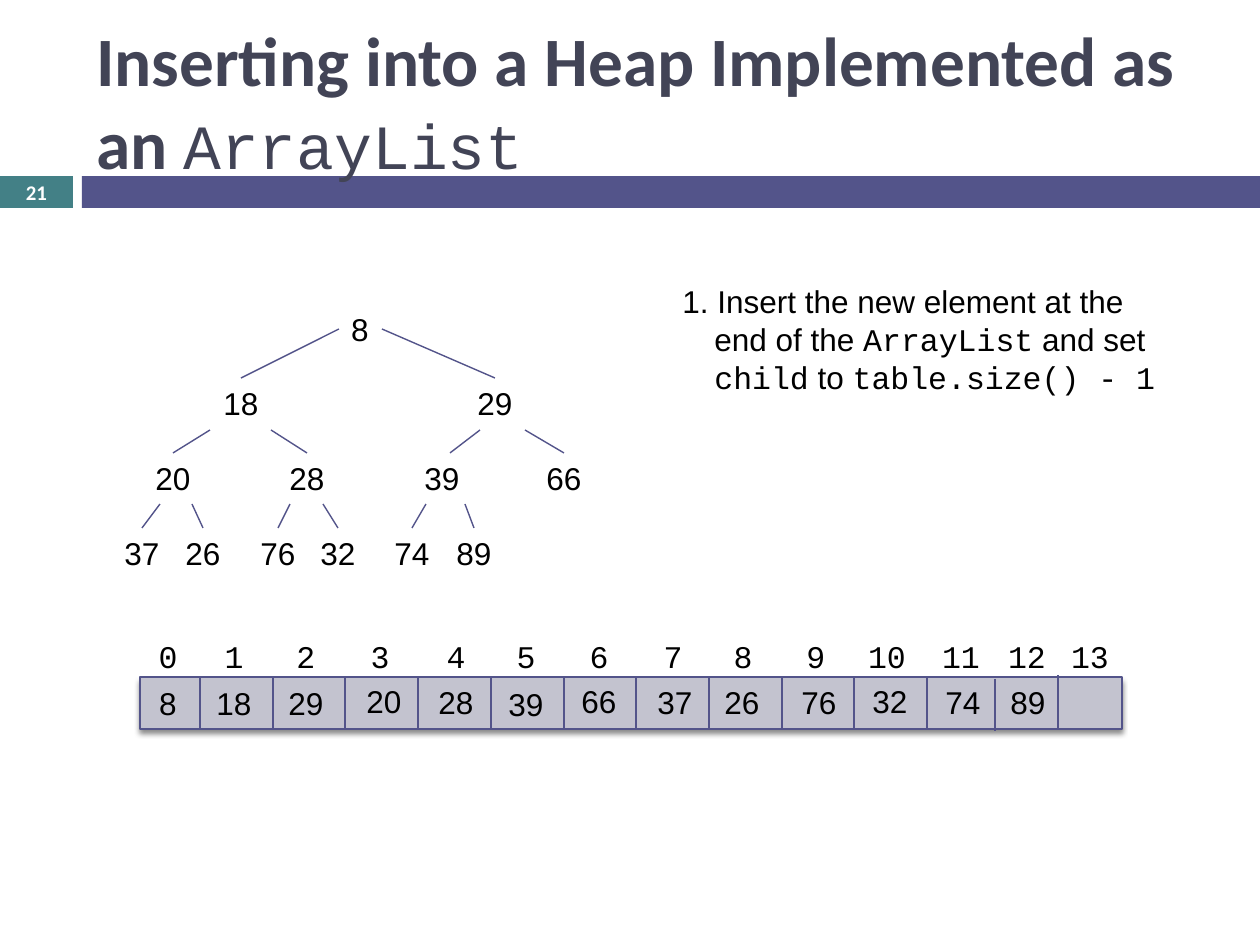
from pptx import Presentation
from pptx.dml.color import RGBColor
from pptx.enum.shapes import MSO_CONNECTOR as CONNECTOR, MSO_SHAPE as SHAPE
from pptx.enum.text import MSO_ANCHOR as ANCHOR, PP_ALIGN as ALIGN
from pptx.oxml import parse_xml
from pptx.oxml.ns import nsdecls
from pptx.util import Pt

PX = 914400 / 126
COLORS = {"ink": "000000", "title": "424456", "indigo": "53548A",
          "teal": "438086", "cell": "C3C3CF", "white": "FFFFFF"}
SANS, MONO, HEADING = "Arial", "Courier New", "Calibri"

deck = Presentation()
deck.slide_width, deck.slide_height = round(1260 * PX), round(945 * PX)
slide = deck.slides.add_slide(deck.slide_layouts[6])


def add_text(text, left, top, width, height, font=SANS, size=18, color="ink",
             bold=False, align=ALIGN.CENTER, anchor=ANCHOR.TOP, wrap=False, hang=0):
    box = slide.shapes.add_textbox(*(round(v * PX) for v in (left, top, width, height)))
    frame = box.text_frame
    frame.word_wrap, frame.vertical_anchor = wrap, anchor
    paragraph = frame.paragraphs[0]
    paragraph.alignment = align
    if hang:
        properties = paragraph._p.get_or_add_pPr()
        properties.set("marL", str(round(hang * PX)))
        properties.set("indent", str(round(-hang * PX)))
    pieces = [(text, font, size, bold)] if isinstance(text, str) else text
    for words, face, points, heavy in pieces:
        run = paragraph.add_run()
        run.text = words
        run.font.name, run.font.size, run.font.bold = face, Pt(points), heavy
        run.font.color.rgb = RGBColor.from_string(COLORS[color])


def add_line(x1, y1, x2, y2):
    line = slide.shapes.add_connector(
        CONNECTOR.STRAIGHT, *(round(v * PX) for v in (x1, y1, x2, y2)))
    line.line.color.rgb = RGBColor.from_string(COLORS["indigo"])
    line.line.width = Pt(0.79)
    line._element.spPr.append(parse_xml(f"<a:effectLst {nsdecls('a')}/>"))


for left, top, width, height, fill in [
    (0, 176, 73, 32, "teal"),
    (82, 176, 1178, 32, "indigo"),
    (140, 677, 982, 52, "cell"),
]:
    bar = slide.shapes.add_shape(
        SHAPE.RECTANGLE, *(round(v * PX) for v in (left, top, width, height)))
    bar.shadow.inherit = False
    bar.fill.solid()
    bar.fill.fore_color.rgb = RGBColor.from_string(COLORS[fill])
    bar.line.fill.background()

array_bar = bar
array_bar.line.color.rgb = RGBColor.from_string(COLORS["indigo"])
array_bar.line.width = Pt(0.79)
array_bar.shadow._element.effectLst.append(parse_xml(
    f'<a:outerShdw {nsdecls("a")} blurRad="38100" dist="30480" dir="5400000" rotWithShape="0">'
    f'<a:srgbClr val="{COLORS["ink"]}"><a:alpha val="45000"/></a:srgbClr></a:outerShdw>'))

add_text([("Inserting into a Heap Implemented as an ", HEADING, 39.6, True),
          ("ArrayList", MONO, 36, False)],
         84, 32, 1124, 136, color="title", align=ALIGN.LEFT, anchor=ANCHOR.MIDDLE, wrap=True)
add_text("21", 0, 175, 73, 34, font=HEADING, size=11.9, color="white", bold=True,
         anchor=ANCHOR.MIDDLE, wrap=True)

level_tops = [304, 378, 453, 528]
heap_levels = [
    [(8, 360)],
    [(18, 241), (29, 495)],
    [(20, 173), (28, 307), (39, 442), (66, 564)],
    [(37, 142), (26, 203), (76, 278), (32, 338), (74, 412), (89, 474)],
]
for top, nodes in zip(level_tops, heap_levels):
    for value, center in nodes:
        add_text(str(value), center - 30, top, 60, 50)

branches = [
    (329, [(339, 241), (382, 495)]),
    (430, [(210, 173), (271, 307), (480, 450), (525, 564)]),
    (504, [(160, 142), (192, 203), (290, 278), (323, 338), (426, 412), (465, 474)]),
]
for (parent_y, ends), child_y in zip(branches, level_tops[1:]):
    for parent_x, child_x in ends:
        add_line(parent_x, parent_y, child_x, child_y)

for step in range(11):
    divider = 200 + round(step * 72.7)
    add_line(divider, 677, divider, 729)
add_line(995, 679, 995, 731)
add_line(1058, 675, 1058, 729)

index_centers = [168, 234, 306, 380, 456, 526, 599, 673, 743, 816, 887, 961, 1027, 1090]
for index, center in enumerate(index_centers):
    add_text(str(index), center - 32, 631, 64, 50, font=MONO)

array_values = [
    (8, 168, 678), (18, 234, 678), (29, 306, 678), (20, 384, 676), (28, 456, 677),
    (39, 526, 679), (66, 599, 676), (37, 675, 677), (26, 742, 677), (76, 819, 677),
    (32, 890, 676), (74, 963, 677), (89, 1028, 677),
]
for value, center, top in array_values:
    add_text(str(value), center - 30, top, 60, 50)

step_text = [("1. Insert the new element at the end of the ", SANS), ("ArrayList", MONO),
             (" and set ", SANS), ("child", MONO), (" to ", SANS), ("table.size() - 1", MONO)]
add_text([(words, face, 18, False) for words, face in step_text],
         670, 276, 524, 127, align=ALIGN.LEFT, wrap=True, hang=32)

deck.save("out.pptx")
